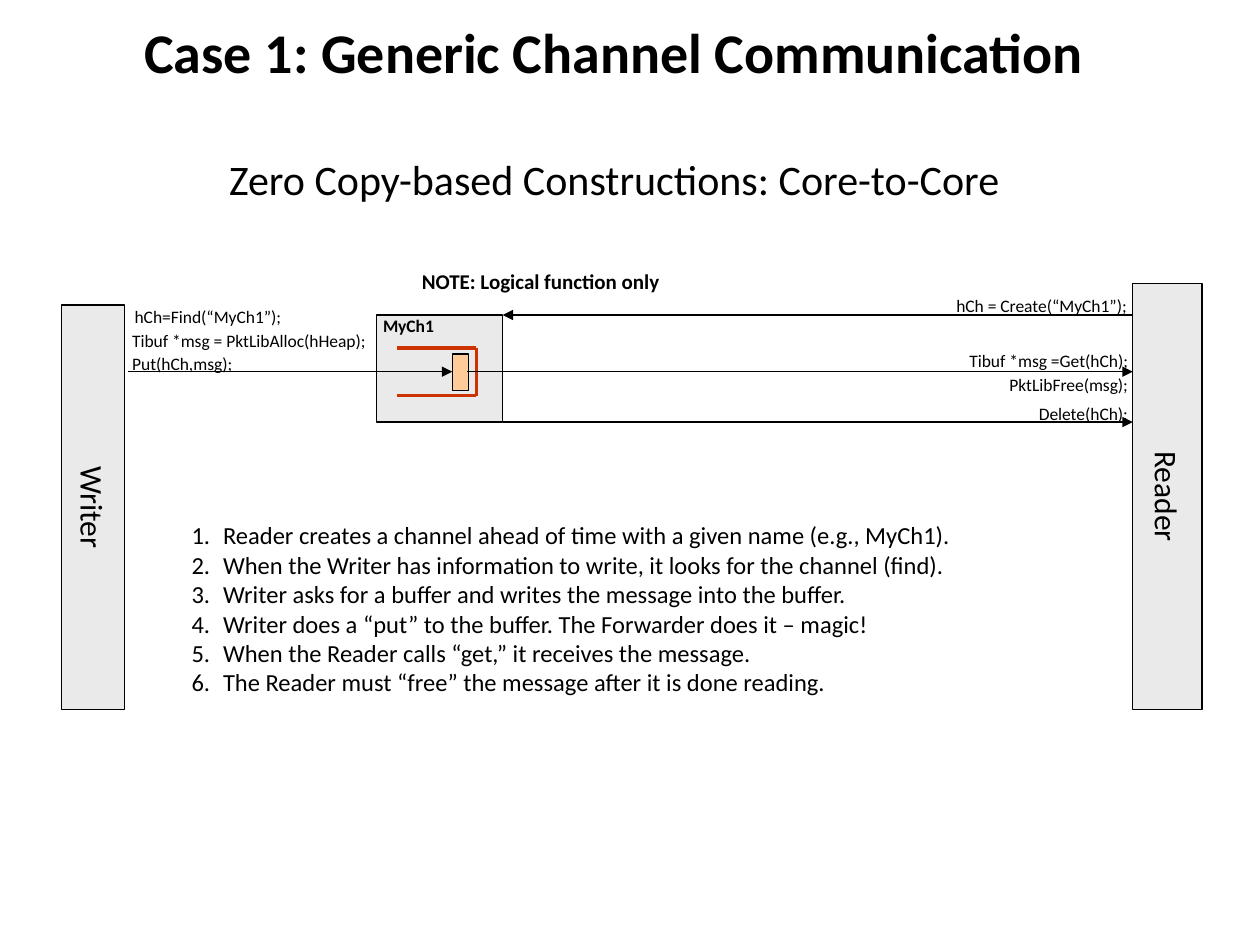
from dataclasses import dataclass

from lxml.etree import SubElement
from pptx import Presentation
from pptx.dml.color import RGBColor
from pptx.enum.shapes import MSO_CONNECTOR, MSO_SHAPE
from pptx.enum.text import MSO_ANCHOR, MSO_AUTO_SIZE, PP_ALIGN
from pptx.oxml.ns import qn
from pptx.util import Inches, Pt

COLORS = {"black": "000000", "panel": "EAEAEA", "message": "FFCC99", "queue": "CC3300"}
FONT = "Calibri"


@dataclass
class Block:
    left: float
    top: float
    width: float
    height: float
    text: str = ""
    size: float = 18
    fill: str = "panel"
    vertical: bool = False


@dataclass
class Label:
    text: str
    left: float
    top: float
    width: float
    height: float = 0.27
    size: float = 10
    bold: bool = False
    align: PP_ALIGN = PP_ALIGN.LEFT


@dataclass
class Link:
    start: tuple[float, float]
    end: tuple[float, float]
    color: str = "black"
    weight: float = 0.75
    arrow: bool = True
    kind: MSO_CONNECTOR = MSO_CONNECTOR.STRAIGHT


def color(name: str) -> RGBColor:
    return RGBColor.from_string(COLORS[name])


def place(shape, left: float, top: float, width: float, height: float) -> None:
    frame = {"left": left, "top": top, "width": width, "height": height}
    for name, value in frame.items():
        setattr(shape, name, Inches(value))


def write(para, text: str, size: float, bold: bool = False) -> None:
    span = para.add_run()
    span.text = text
    for name, value in {"name": FONT, "size": Pt(size), "bold": bold}.items():
        setattr(span.font, name, value)
    span.font.color.rgb = color("black")


def draw_block(page, block: Block) -> None:
    shape = page.shapes.add_shape(
        MSO_SHAPE.RECTANGLE, *map(Inches, (block.left, block.top, block.width, block.height)))
    shape.shadow.inherit = False
    shape.fill.solid()
    shape.fill.fore_color.rgb = color(block.fill)
    shape.line.color.rgb = color("black")
    shape.line.width = Pt(0.75)
    if not block.text:
        return
    side = Inches(0 if block.vertical else 0.05)
    box = shape.text_frame
    settings = {
        "margin_left": side, "margin_right": side, "margin_top": 0, "margin_bottom": 0,
        "word_wrap": False,
        "vertical_anchor": MSO_ANCHOR.MIDDLE if block.vertical else MSO_ANCHOR.TOP,
    }
    for name, value in settings.items():
        setattr(box, name, value)
    para = box.paragraphs[0]
    para.alignment = PP_ALIGN.CENTER if block.vertical else PP_ALIGN.LEFT
    write(para, block.text, block.size, bold=not block.vertical)
    if block.vertical:
        box._txBody.bodyPr.set("vert", "vert")


def draw_label(page, label: Label) -> None:
    box = page.shapes.add_textbox(
        *map(Inches, (label.left, label.top, label.width, label.height))).text_frame
    box.word_wrap = True
    box.auto_size = MSO_AUTO_SIZE.SHAPE_TO_FIT_TEXT
    para = box.paragraphs[0]
    para.alignment = label.align
    write(para, label.text, label.size, label.bold)


def draw_link(page, link: Link) -> None:
    line = page.shapes.add_connector(link.kind, *map(Inches, link.start + link.end))
    line.line.color.rgb = color(link.color)
    line.line.width = Pt(link.weight)
    if link.arrow:
        SubElement(line.line._get_or_add_ln(), qn("a:tailEnd"), type="triangle")
    SubElement(line._element.spPr, qn("a:effectLst"))


def fill_title(title) -> None:
    place(title, 0.25, 0, 9.25, 1.76)
    box = title.text_frame
    box.auto_size = MSO_AUTO_SIZE.NONE
    box.vertical_anchor = MSO_ANCHOR.MIDDLE
    heading, subtitle = box.paragraphs[0], box.add_paragraph()
    subtitle.space_before = Pt(39)
    write(heading, "Case 1: Generic Channel Communication", 32, bold=True)
    write(subtitle, "Zero Copy-based Constructions: Core-to-Core", 24)
    for para in (heading, subtitle):
        para.alignment = PP_ALIGN.CENTER


def fill_steps(body, steps: list[str]) -> None:
    place(body, 1.42, 4.08, 7, 1.51)
    box = body.text_frame
    box.auto_size = MSO_AUTO_SIZE.NONE
    for number, step in enumerate(steps):
        para = box.add_paragraph() if number else box.paragraphs[0]
        para.space_before = Pt(0)
        properties = para._p.get_or_add_pPr()
        properties.set("marL", str(Inches(0.25)))
        properties.set("indent", str(Inches(-0.25)))
        SubElement(properties, qn("a:buFont"), typeface="+mj-lt")
        SubElement(properties, qn("a:buAutoNum"), type="arabicPeriod")
        write(para, step, 14)


READER_X, CHANNEL_LEFT, CHANNEL_RIGHT = 8.99, 2.99, 3.99
CREATE_Y, MESSAGE_Y, DELETE_Y = 2.5, 2.95, 3.35
QUEUE_LEFT, QUEUE_RIGHT, QUEUE_TOP, QUEUE_BOTTOM = 3.15, 3.78, 2.76, 3.14
RIGHT, ELBOW = PP_ALIGN.RIGHT, MSO_CONNECTOR.ELBOW

BLOCKS = [
    Block(READER_X, 2.25, 0.55, 3.38, "Reader", vertical=True),
    Block(0.49, 2.42, 0.5, 3.21, "Writer", vertical=True),
    Block(CHANNEL_LEFT, CREATE_Y, 1, 0.85, "MyCh1", size=10),
]
PUT_LINK = Link((1.02, MESSAGE_Y), (3.59, MESSAGE_Y))
MESSAGE = Block(3.59, 2.81, 0.13, 0.29, fill="message")
QUEUE_CORNERS = [(QUEUE_LEFT, QUEUE_TOP), (QUEUE_RIGHT, QUEUE_TOP),
                 (QUEUE_RIGHT, QUEUE_BOTTOM), (QUEUE_LEFT, QUEUE_BOTTOM)]
QUEUE = [Link(start, end, "queue", 2, arrow=False)
         for start, end in zip(QUEUE_CORNERS, QUEUE_CORNERS[1:])]
READER_LINKS = [
    Link((3.71, MESSAGE_Y), (READER_X, MESSAGE_Y), kind=ELBOW),
    Link((READER_X, CREATE_Y), (CHANNEL_RIGHT, CREATE_Y)),
    Link((CHANNEL_RIGHT, DELETE_Y), (READER_X, DELETE_Y), kind=ELBOW),
]
LABELS = [
    Label("Put(hCh,msg);", 0.95, 2.75, 1.25),
    Label("Tibuf *msg = PktLibAlloc(hHeap);", 0.95, 2.57, 2.33),
    Label("PktLibFree(msg);", 7.63, 2.92, 1.42, align=RIGHT),
    Label("Tibuf *msg =Get(hCh);", 7.3, 2.73, 1.75, align=RIGHT),
    Label("hCh=Find(“MyCh1”);", 0.97, 2.38, 1.67),
    Label("hCh = Create(“MyCh1”);", 7.2, 2.29, 1.84, align=RIGHT),
    Label("Delete(hCh);", 8.03, 3.15, 1.02, align=RIGHT),
    Label("NOTE: Logical function only", 3.25, 2.08, 3.83, 0.3, size=12, bold=True),
]
STEPS = [
    "Reader creates a channel ahead of time with a given name (e.g., MyCh1).",
    "When the Writer has information to write, it looks for the channel (find).",
    "Writer asks for a buffer and writes the message into the buffer.",
    "Writer does a “put” to the buffer. The Forwarder does it – magic!",
    "When the Reader calls “get,” it receives the message.",
    "The Reader must “free” the message after it is done reading.",
]


def main() -> None:
    deck = Presentation()
    deck.slide_width, deck.slide_height = Inches(10), Inches(7.5)
    page = deck.slides.add_slide(deck.slide_layouts[1])

    # Title and numbered steps
    fill_title(page.shapes.title)
    fill_steps(page.placeholders[1], STEPS)

    # Writer, reader and channel, with the message in its queue
    for block in BLOCKS:
        draw_block(page, block)
    draw_link(page, PUT_LINK)
    draw_block(page, MESSAGE)
    for link in QUEUE + READER_LINKS:
        draw_link(page, link)

    # Calls along the arrows
    for label in LABELS:
        draw_label(page, label)
    deck.save("out.pptx")


if __name__ == "__main__":
    main()
